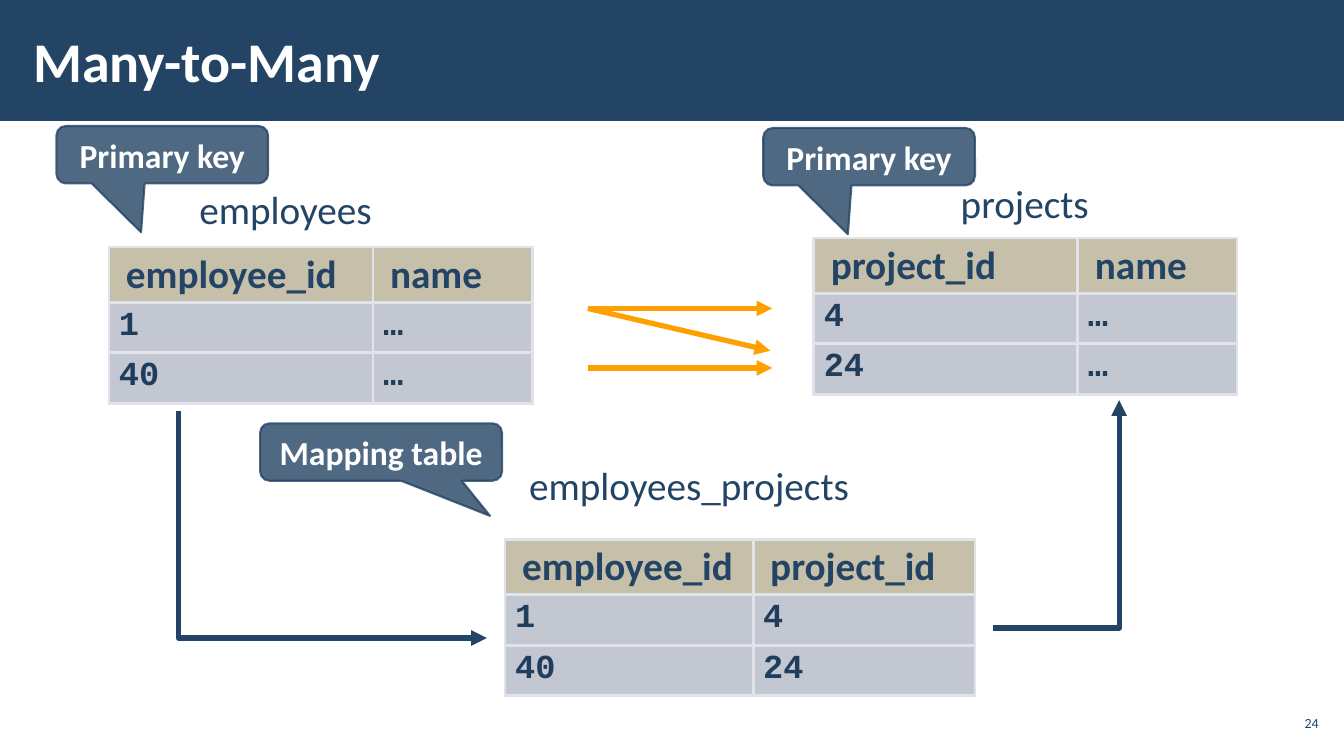
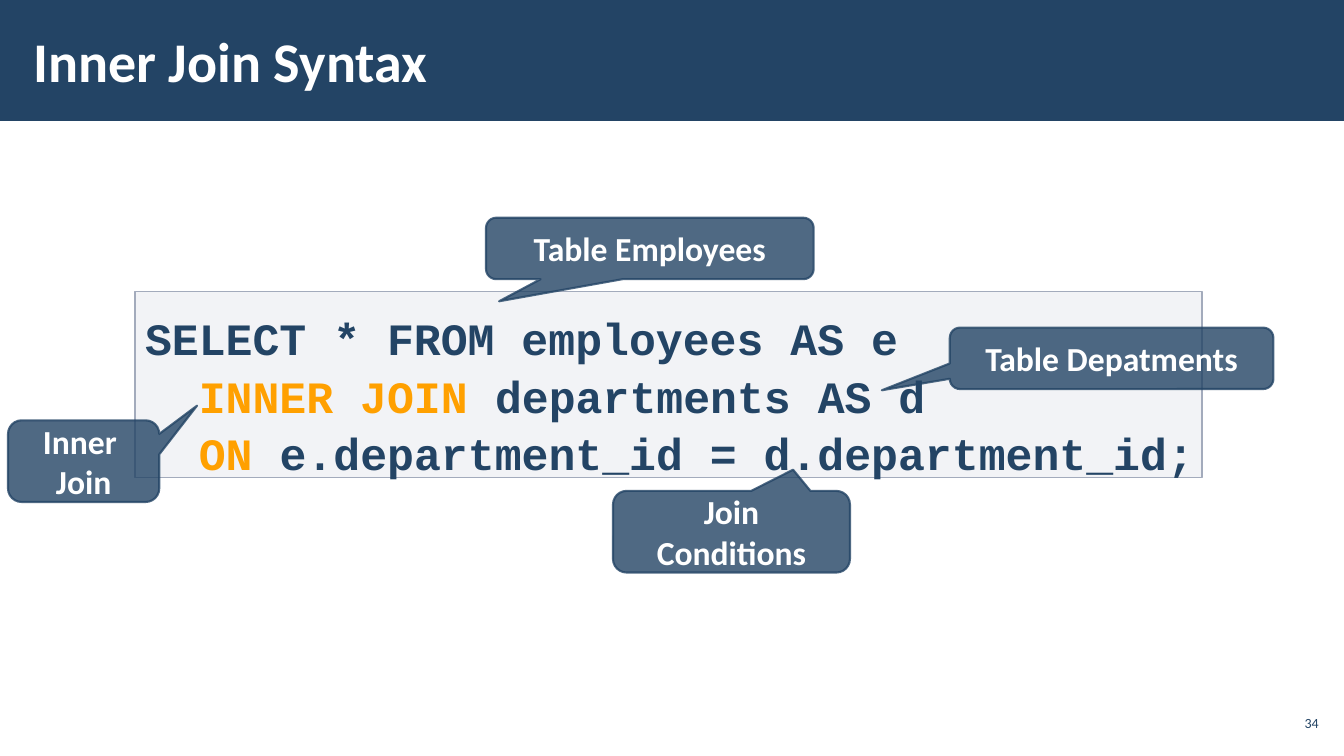
import pptx
import pptx.util
import pptx.dml.color
import pptx.enum.shapes
import pptx.enum.text
import pptx.oxml
import pptx.oxml.ns

Inches, Pt = pptx.util.Inches, pptx.util.Pt
SHAPE = pptx.enum.shapes.MSO_SHAPE
LINK = pptx.enum.shapes.MSO_CONNECTOR
ANCHOR = pptx.enum.text.MSO_ANCHOR
ALIGN = pptx.enum.text.PP_ALIGN
qn = pptx.oxml.ns.qn

# Shared colours and text styles
NAVY, WHITE, GOLD = "234465", "FFFFFF", "FFA000"
SAND, MIST, EDGE, RIM = "C6C0AA", "C2C7D2", "E0E3E9", "A3ABBC"
TITLE = {"name": "Calibri", "size": Pt(40), "bold": True, "color": WHITE}
NOTE = {"name": "Calibri", "size": Pt(24), "bold": True, "color": WHITE}
LABEL = {"name": "Calibri", "size": Pt(28), "bold": False, "color": NAVY}
HEAD = {**LABEL, "bold": True}
BODY = {"name": "Courier New", "size": Pt(24), "bold": True, "color": "203D5B"}
CODE = {**BODY, "size": Pt(32), "color": NAVY}
PAGE = {**LABEL, "size": Pt(10)}


def tint(fill, code, alpha=100):
    """Paint a fill with a hex colour, see-through below 100."""
    fill.solid()
    fill.fore_color.rgb = pptx.dml.color.RGBColor.from_string(code)
    if alpha < 100:
        color = fill._xPr.find(".//" + qn("a:srgbClr"))
        color.append(pptx.oxml.parse_xml(
            f'<a:alpha {pptx.oxml.ns.nsdecls("a")} val="{alpha * 1000}"/>'))


def style(font, form):
    for key, value in form.items():
        if key == "color":
            tint(font.fill, value)
        else:
            setattr(font, key, value)


def pad(item, left, top, right, bottom):
    for side, gap in zip(("left", "top", "right", "bottom"),
                         (left, top, right, bottom)):
        setattr(item, "margin_" + side, Inches(gap))


def box(slide, kind, place, color, alpha=100):
    shape = slide.shapes.add_shape(kind, *map(Inches, place))
    shape.shadow.inherit = False
    shape.line.fill.background()
    tint(shape.fill, color, alpha)
    return shape


def label(slide, place, text, form=LABEL, align=ALIGN.LEFT, wrap=False):
    item = slide.shapes.add_textbox(*map(Inches, place))
    frame = item.text_frame
    frame.word_wrap = wrap
    line = frame.paragraphs[0]
    line.alignment = align
    run = line.add_run()
    run.text = text
    style(run.font, form)
    return frame


def callout(slide, place, text, tip):
    """Rounded speech box; tip is its point relative to its centre."""
    shape = box(slide, SHAPE.ROUNDED_RECTANGULAR_CALLOUT, place, NAVY, 80)
    tint(shape.line.fill, NAVY, 80)
    shape.line.width = Pt(1.5)
    shape.adjustments[0], shape.adjustments[1] = tip
    frame = shape.text_frame
    frame.word_wrap = True
    frame.vertical_anchor = ANCHOR.MIDDLE
    frame.text = text
    line = frame.paragraphs[0]
    line.alignment = ALIGN.CENTER
    for run in line.runs:
        style(run.font, NOTE)


def arrow(slide, start, end, color, bent=False, tip="tailEnd"):
    kind = LINK.ELBOW if bent else LINK.STRAIGHT
    link = slide.shapes.add_connector(kind, *map(Inches, start + end))
    tint(link.line.fill, color)
    link.line.width = Pt(3.75)
    props = link._element.spPr
    if bent:
        props.find(qn("a:prstGeom")).set("prst", "bentConnector2")
    space = pptx.oxml.ns.nsdecls("a")
    props.find(qn("a:ln")).append(
        pptx.oxml.parse_xml(f'<a:{tip} {space} type="triangle"/>'))
    props.append(pptx.oxml.parse_xml(f"<a:effectLst {space}/>"))


def border(cell):
    props = cell._tc.get_or_add_tcPr()
    for side in "LRTB":
        props.append(pptx.oxml.parse_xml(
            f'<a:ln{side} {pptx.oxml.ns.nsdecls("a")} w="{Pt(2.25)}">'
            f'<a:solidFill><a:srgbClr val="{EDGE}"/></a:solidFill>'
            f"</a:ln{side}>"))


def grid(slide, left, top, widths, rows):
    """Table with a sand header row and pale rows of values."""
    tall = [0.55] + [0.5] * (len(rows) - 1)
    table = slide.shapes.add_table(
        len(rows), len(widths), Inches(left), Inches(top),
        Inches(sum(widths)), Inches(sum(tall))).table
    table.horz_banding = False
    for col, width in zip(table.columns, widths):
        col.width = Inches(width)
    for i, row in enumerate(rows):
        table.rows[i].height = Inches(tall[i])
        for j, text in enumerate(row):
            cell = table.cell(i, j)
            border(cell)
            tint(cell.fill, *((MIST, 20) if i else (SAND, 50)))
            side = 0.1 if i else 0.17
            pad(cell, side, 0.05, side, 0.05)
            line = cell.text_frame.paragraphs[0]
            line.line_spacing = 1.0 if i else 0.95
            run = line.add_run()
            run.text = text
            style(run.font, BODY if i else HEAD)


def listing(slide, place, lines):
    """Code panel; each line is a list of (text, colour) runs."""
    panel = box(slide, SHAPE.RECTANGLE, place, MIST, 20)
    tint(panel.line.fill, RIM)
    panel.line.width = Pt(1)
    frame = panel.text_frame
    frame.word_wrap = True
    frame.vertical_anchor = ANCHOR.TOP
    pad(frame, 0.1, 0.16, 0, 0.08)
    for i, parts in enumerate(lines):
        line = frame.add_paragraph() if i else frame.paragraphs[0]
        line.alignment = ALIGN.LEFT
        line.line_spacing = 1.07
        for text, color in parts:
            run = line.add_run()
            run.text = text
            style(run.font, {**CODE, "color": color})


def start(deck, text, page):
    """New slide with its title and page number."""
    slide = deck.slides.add_slide(deck.slide_layouts[5])
    title = slide.shapes.title
    for key, value in zip(("left", "top", "width", "height"),
                          (0.21, 0.11, 10.39, 0.97)):
        setattr(title, key, Inches(value))
    frame = title.text_frame
    frame.text = text
    frame.auto_size = pptx.enum.text.MSO_AUTO_SIZE.NONE
    frame.vertical_anchor = ANCHOR.MIDDLE
    pad(frame, 0.12, 0.04, 0.12, 0.04)
    frame.paragraphs[0].alignment = ALIGN.LEFT
    style(frame.paragraphs[0].runs[0].font, TITLE)
    number = label(slide, (12.65, 7, 0.47, 0.34), page, PAGE,
                   ALIGN.RIGHT, True)
    number.vertical_anchor = ANCHOR.MIDDLE
    pad(number, 0.04, 0.04, 0.04, 0.04)
    return slide


def band(slide):
    """Title band, kept in the layout so that every slide has it."""
    bar = box(slide, SHAPE.RECTANGLE, (0, 0, 13.33, 1.2), NAVY)
    slide.slide_layout.shapes.element.insert(2, bar._element)


def many(deck):
    slide = start(deck, "Many-to-Many", "24")
    band(slide)
    # Row links
    for begin, end in (((5.83, 3.06), (7.66, 3.06)),
                       ((5.83, 3.65), (7.66, 3.65)),
                       ((5.83, 3.06), (7.64, 3.48))):
        arrow(slide, begin, end, GOLD)
    # Links to and from the mapping table
    arrow(slide, (4.83, 6.33), (1.77, 4.08), NAVY, True, "headEnd")
    arrow(slide, (9.85, 6.23), (11.1, 3.97), NAVY, True)
    # Table names
    for left, top, width, text in ((1.88, 1.79, 1.93, "employees"),
                                   (9.43, 1.73, 1.49, "projects"),
                                   (5.15, 4.53, 3.41, "employees_projects")):
        label(slide, (left, top, width, 0.57), text)
    # Callouts
    for left, top, width, text, tip in (
            (0.56, 1.25, 2.1, "Primary key", (-0.1, 1.35)),
            (7.57, 1.27, 2.1, "Primary key", (-0.1, 1.35)),
            (2.58, 4.2, 2.4, "Mapping table", (0.45, 1.11))):
        callout(slide, (left, top, width, 0.57), text, tip)
    # Tables
    grid(slide, 1.08, 2.45, (2.62, 1.58),
         (("employee_id", "name"), ("1", "…"), ("40", "…")))
    grid(slide, 5.01, 5.35, (2.46, 2.2),
         (("employee_id", "project_id"), ("1", "4"), ("40", "24")))
    grid(slide, 8.07, 2.36, (2.62, 1.58),
         (("project_id", "name"), ("4", "…"), ("24", "…")))


def join(deck):
    slide = start(deck, "Inner Join Syntax", "34")
    listing(slide, (1.34, 2.89, 10.58, 1.85), (
        [("SELECT * FROM employees AS e", NAVY)],
        [("  INNER JOIN ", GOLD), ("departments AS d", NAVY)],
        [("  ON ", GOLD), ("e.department_id = d.department_id;", NAVY)]))
    for place, text, tip in (
            ((9.42, 3.25, 3.21, 0.61), "Table Depatments", (-0.71, 0.52)),
            ((0.08, 4.17, 1.5, 0.81), "Inner \vJoin", (0.75, -0.68)),
            ((4.82, 2.16, 3.25, 0.61), "Table Employees", (-0.46, 0.86)),
            ((6.08, 4.87, 2.35, 0.81), "Join Conditions", (0.26, -0.76))):
        callout(slide, place, text, tip)


def main():
    deck = pptx.Presentation()
    deck.slide_width, deck.slide_height = Inches(13.33), Inches(7.5)
    many(deck)
    join(deck)
    deck.save("out.pptx")


if __name__ == "__main__":
    main()
